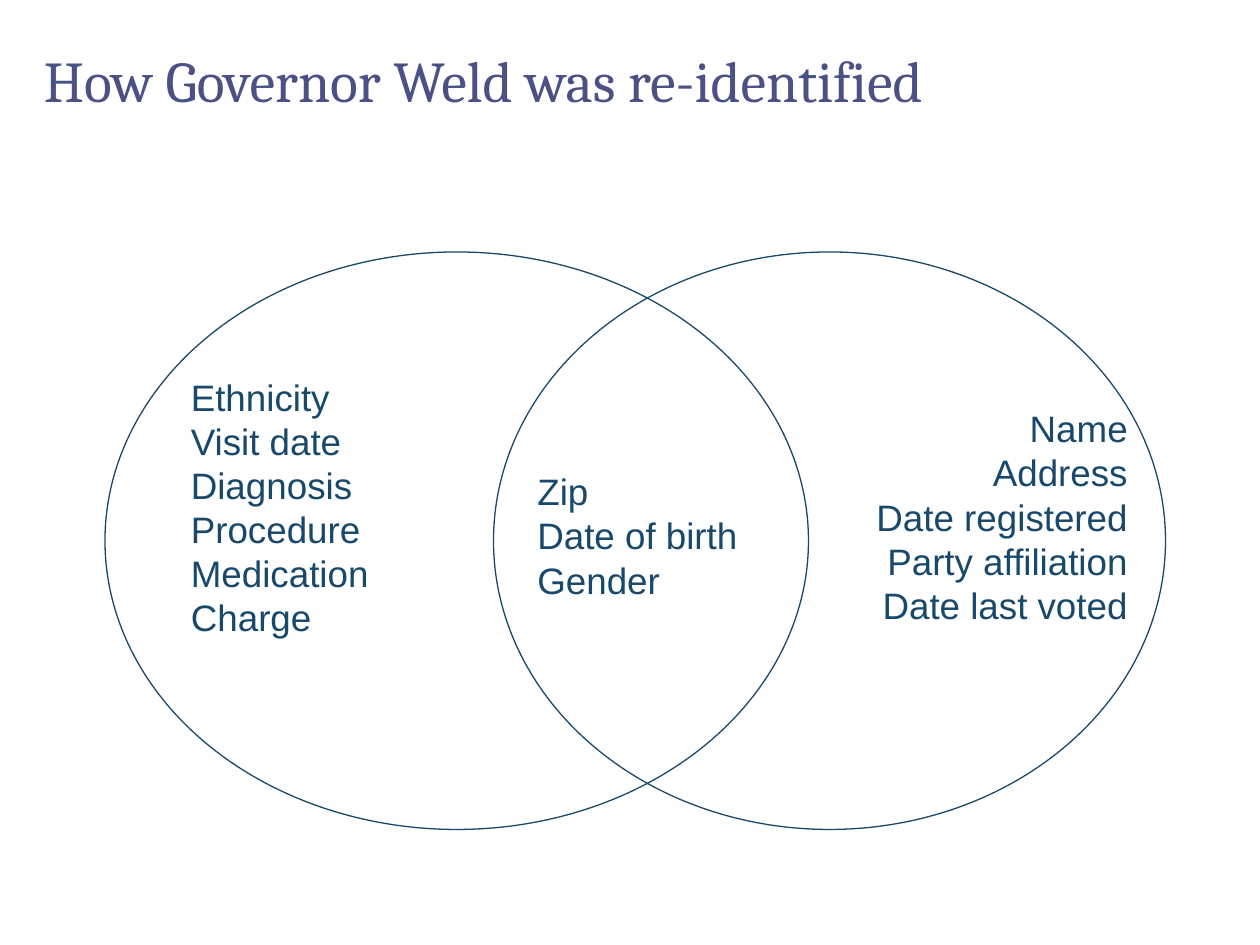
from pptx import Presentation
from pptx.dml.color import RGBColor
from pptx.enum import shapes, text
from pptx.util import Pt

COLORS = {"title": "4B5185", "ink": "18496B"}

deck = Presentation()
deck.slide_width, deck.slide_height = Pt(720), Pt(540)
slide = deck.slides.add_slide(deck.slide_layouts[6])


def add_text(lines, left, top, width, height, size=21, font="Arial",
             color="ink", align=text.PP_ALIGN.LEFT,
             anchor=text.MSO_ANCHOR.TOP, spacing=Pt(25.2), wrap=False):
    box = slide.shapes.add_textbox(Pt(left), Pt(top), Pt(width), Pt(height))
    frame = box.text_frame
    frame.word_wrap = wrap
    frame.vertical_anchor = anchor
    frame.text = "\n".join(lines)
    for paragraph in frame.paragraphs:
        paragraph.alignment = align
        paragraph.line_spacing = spacing
        paragraph.font.size = Pt(size)
        paragraph.font.name = font
        paragraph.font.color.rgb = RGBColor.from_string(COLORS[color])


# Title
add_text(["How Governor Weld was re-identified"], 18, 12, 684, 72,
         size=33, font="Cambria", color="title",
         anchor=text.MSO_ANCHOR.MIDDLE, spacing=0.9, wrap=True)

# Two overlapping ellipses
for left, width in [(60, 402), (282, 384)]:
    ellipse = slide.shapes.add_shape(shapes.MSO_SHAPE.OVAL, Pt(left), Pt(144),
                                     Pt(width), Pt(330))
    ellipse.shadow.inherit = False
    ellipse.fill.background()
    ellipse.line.color.rgb = RGBColor.from_string(COLORS["ink"])
    ellipse.line.width = Pt(0.75)

# Left list
add_text(["Ethnicity", "Visit date", "Diagnosis", "Procedure", "Medication",
          "Charge"], 102, 210.5, 117, 160)

# Overlap list
add_text(["Zip", "Date of birth", "Gender"], 300, 264.5, 130, 84)

# Right list
add_text(["Name", "Address", "Date registered", "Party affiliation",
          "Date last voted"], 492.5, 228.5, 159, 135,
         align=text.PP_ALIGN.RIGHT)

deck.save("out.pptx")
